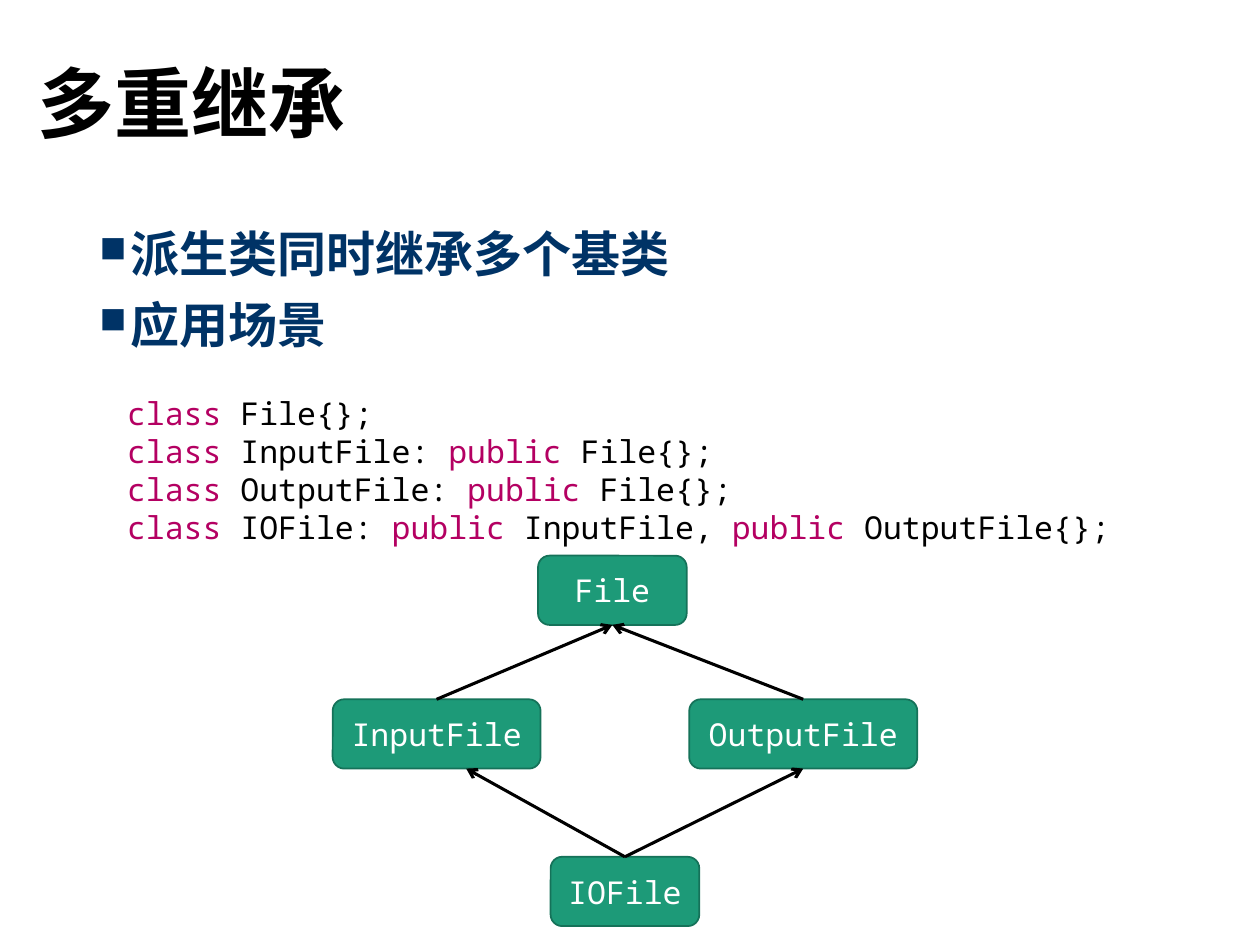
from dataclasses import dataclass
from itertools import groupby

from lxml import etree
from pptx import Presentation
from pptx.dml.color import RGBColor
from pptx.enum.shapes import MSO_CONNECTOR, MSO_SHAPE
from pptx.enum.text import MSO_ANCHOR, PP_ALIGN
from pptx.oxml.ns import qn
from pptx.util import Inches, Pt

ROUNDED = MSO_SHAPE.ROUNDED_RECTANGLE
STRAIGHT = MSO_CONNECTOR.STRAIGHT
TOP, MIDDLE = MSO_ANCHOR.TOP, MSO_ANCHOR.MIDDLE
LEFT, CENTER = PP_ALIGN.LEFT, PP_ALIGN.CENTER
TOP_SIDE, BOTTOM_SIDE = 0, 2
KEYWORDS = {"class", "public"}


@dataclass(frozen=True)
class Theme:
    ink: str = "000000"
    topic: str = "003366"
    keyword: str = "B40062"
    box: str = "1D9A78"
    box_edge: str = "157259"
    on_box: str = "FFFFFF"
    sans: str = "Noto Sans CJK SC"
    mono: str = "Noto Sans Mono"
    title_size: int = 44
    topic_size: int = 28
    code_size: int = 18


def rgb(value):
    return RGBColor.from_string(value)


def add_run(paragraph, text, *, size, color, font, east_asian, bold=False):
    run = paragraph.add_run()
    run.text = text
    run.font.size, run.font.bold, run.font.name = Pt(size), bold, font
    run.font.color.rgb = rgb(color)
    etree.SubElement(run.font._element, qn("a:ea"), typeface=east_asian)


def add_bullet(paragraph, char, indent, percent):
    props = paragraph._p.get_or_add_pPr()
    props.set("marL", str(indent))
    props.set("indent", str(-indent))
    etree.SubElement(props, qn("a:buSzPct"), val=str(percent * 1000))
    etree.SubElement(props, qn("a:buChar"), char=char)


class SlideBuilder:
    """Places elements on a grid of 100 columns by 75 rows."""

    COLUMNS, ROWS = 100, 75

    def __init__(self, presentation, theme):
        self.theme = theme
        self.column = presentation.slide_width / self.COLUMNS
        self.row = presentation.slide_height / self.ROWS
        self.slide = presentation.slides.add_slide(presentation.slide_layouts[6])

    def place(self, x, y):
        return round(x * self.column), round(y * self.row)

    def text_frame(self, x, y, width, height, anchor=TOP):
        box = self.slide.shapes.add_textbox(*self.place(x, y), *self.place(width, height))
        box.text_frame.word_wrap = True
        box.text_frame.vertical_anchor = anchor
        return box.text_frame

    def paragraphs(self, frame, lines):
        for index, line in enumerate(lines):
            yield (frame.add_paragraph() if index else frame.paragraphs[0]), line

    def add_text(self, paragraph, text, align=LEFT, **style):
        paragraph.alignment = align
        add_run(paragraph, text, east_asian=self.theme.sans, **style)

    def title(self, text, *area):
        paragraph = self.text_frame(*area, anchor=MIDDLE).paragraphs[0]
        paragraph.line_spacing = 0.9
        self.add_text(paragraph, text, size=self.theme.title_size,
                      color=self.theme.ink, font=self.theme.sans, bold=True)

    def topics(self, lines, *area):
        for paragraph, line in self.paragraphs(self.text_frame(*area), lines):
            paragraph.line_spacing, paragraph.space_before = 0.9, Pt(10)
            self.add_text(paragraph, line, size=self.theme.topic_size,
                          color=self.theme.topic, font=self.theme.mono, bold=True)
            add_bullet(paragraph, "■", Inches(0.25), 75)

    def code(self, lines, *area):
        for paragraph, line in self.paragraphs(self.text_frame(*area), lines):
            words = line.replace(" ", " \n").split("\n")
            for is_keyword, group in groupby(words, lambda w: w.strip() in KEYWORDS):
                color = self.theme.keyword if is_keyword else self.theme.ink
                self.add_text(paragraph, "".join(group), size=self.theme.code_size,
                              color=color, font=self.theme.mono)

    def class_box(self, name, x, y, width, height=5.5):
        box = self.slide.shapes.add_shape(
            ROUNDED, *self.place(x, y), *self.place(width, height))
        box.shadow.inherit = False
        box.fill.solid()
        box.fill.fore_color.rgb = rgb(self.theme.box)
        box.line.color.rgb = rgb(self.theme.box_edge)
        box.line.width = Pt(1)
        box.text_frame.vertical_anchor = MIDDLE
        box.text_frame.word_wrap = False
        self.add_text(box.text_frame.paragraphs[0], name, CENTER,
                      size=self.theme.code_size, color=self.theme.on_box,
                      font=self.theme.mono)
        return box

    def inherits(self, derived, base, end=None):
        """Arrow from derived to base; end overrides the middle of the base's side."""
        arrow = self.slide.shapes.add_connector(
            STRAIGHT, 0, 0, *self.place(*(end or (0, 0))))
        arrow.begin_connect(derived, TOP_SIDE)
        if end is None:
            arrow.end_connect(base, BOTTOM_SIDE)
        arrow.line.color.rgb = rgb(self.theme.ink)
        arrow.line.width = Pt(1.75)
        etree.SubElement(arrow.line._get_or_add_ln(), qn("a:tailEnd"), type="arrow")
        etree.SubElement(arrow._element.spPr, qn("a:effectLst"))


def main():
    presentation = Presentation()
    presentation.slide_width, presentation.slide_height = Inches(10), Inches(7.5)
    page = SlideBuilder(presentation, Theme())

    # Heading and topics
    page.topics(["派生类同时继承多个基类", "应用场景"], 6.9, 17.8, 88, 51.9)
    page.title("多重继承", 2, 1.3, 86.2, 14.5)

    # Class declarations
    page.code([
        "class File{};",
        "class InputFile: public File{};",
        "class OutputFile: public File{};",
        "class IOFile: public InputFile, public OutputFile{};",
    ], 9.1, 30.8, 85.8, 13.1)

    # Inheritance diamond
    input_file = page.class_box("InputFile", 26.4, 55.5, 16.5)
    output_file = page.class_box("OutputFile", 54.7, 55.5, 18.1)
    file = page.class_box("File", 42.7, 44.1, 11.8)
    io_file = page.class_box("IOFile", 43.7, 68, 11.8)
    page.inherits(io_file, input_file, end=(37, 61))
    page.inherits(io_file, output_file)
    page.inherits(input_file, file)
    page.inherits(output_file, file)

    presentation.save("out.pptx")


if __name__ == "__main__":
    main()
